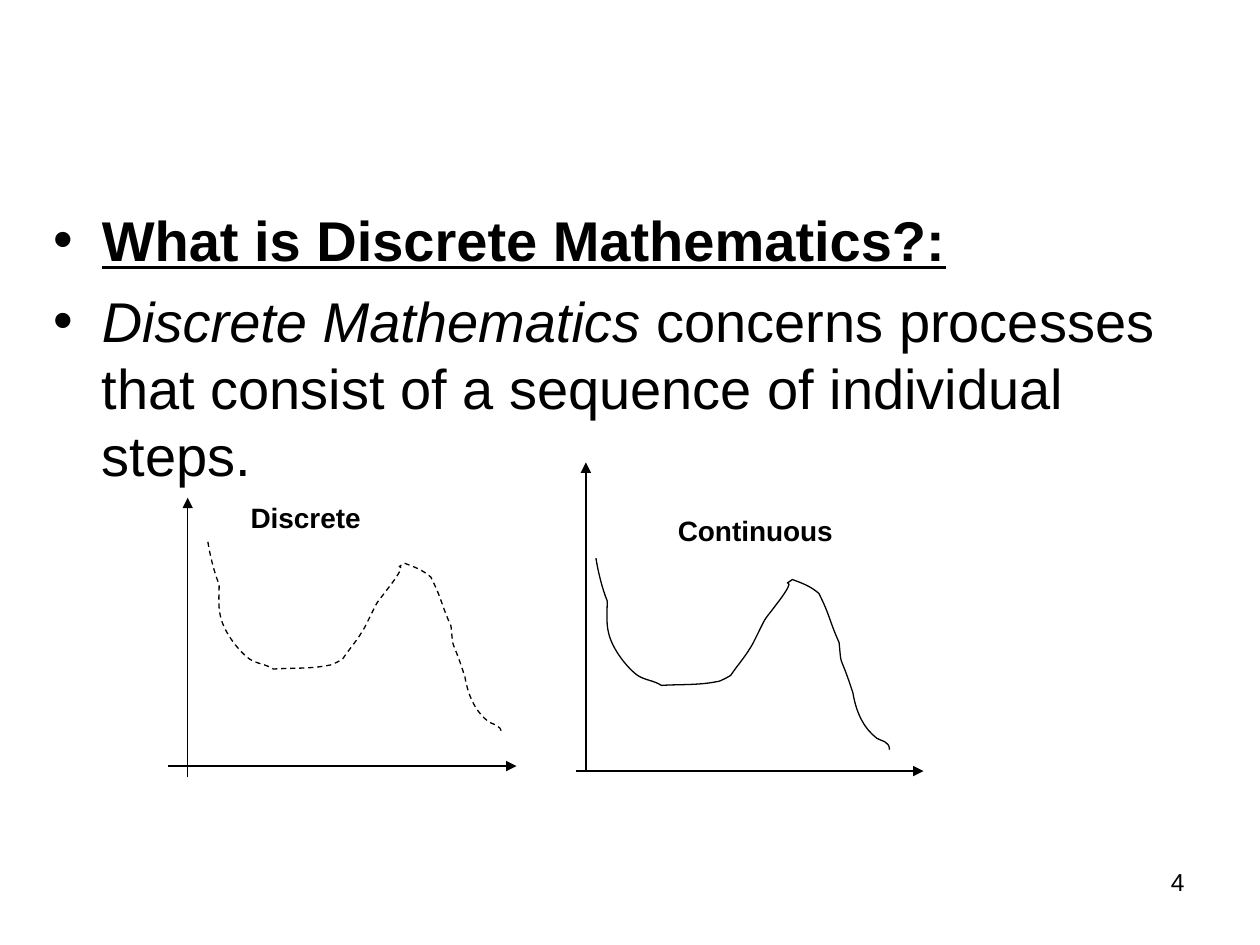
from pptx import Presentation
from pptx.dml.color import RGBColor
from pptx.enum.dml import MSO_LINE
from pptx.enum.shapes import MSO_CONNECTOR
from pptx.enum.text import PP_ALIGN
from pptx.oxml.ns import qn
from pptx.util import Inches, Pt
from lxml.etree import SubElement

BLACK = RGBColor(0, 0, 0)
LINE_WIDTH = Pt(0.75)

# Bezier control points in hundredths of an inch from the curve's start
CURVE = [
    [(2, 12), (5, 24), (9, 34)],
    [(9, 42), (8, 51), (10, 59)],
    [(13, 73), (26, 88), (33, 93)],
    [(39, 97), (46, 97), (52, 101)],
    [(67, 100), (81, 101), (96, 98)],
    [(99, 98), (107, 93), (107, 93)],
    [(113, 84), (119, 78), (125, 67)],
    [(137, 43), (131, 53), (143, 37)],
    [(164, 10), (144, 25), (156, 17)],
    [(164, 20), (170, 22), (177, 28)],
    [(186, 46), (185, 49), (193, 67)],
    [(195, 87), (193, 75), (201, 98)],
    [(202, 101), (204, 107), (204, 107)],
    [(207, 125), (214, 136), (223, 143)],
    [(226, 145), (233, 145), (233, 152)],
]

presentation = Presentation()
presentation.slide_width, presentation.slide_height = Inches(10), Inches(7.5)
slide = presentation.slides.add_slide(presentation.slide_layouts[6])


def add_text_frame(box, margins=(0.1, 0.05)):
    """Add a wrapping text box; margins are left and top in inches."""
    frame = slide.shapes.add_textbox(*map(Inches, box)).text_frame
    frame.word_wrap = True
    frame.margin_left, frame.margin_top = map(Inches, margins)
    return frame


def add_run(paragraph, text, size, **styles):
    run = paragraph.add_run()
    run.text = text
    run.font.color.rgb = BLACK
    formats = {"name": "Arial", "size": Pt(size), **styles}
    for name, value in formats.items():
        setattr(run.font, name, value)


# Slide number
number = add_text_frame((7.17, 6.83, 2.33, 0.52)).paragraphs[0]
number.alignment = PP_ALIGN.RIGHT
add_run(number, "4", 14)

# Bulleted definition
body = add_text_frame((0.33, 1.58, 9, 4.95))
bullets = [
    [("What is Discrete Mathematics?:", {"bold": True, "underline": True})],
    [("Discrete Mathematics", {"italic": True}),
     (" concerns processes that consist of a sequence of individual steps.", {})],
]
for index, runs in enumerate(bullets):
    paragraph = body.add_paragraph() if index else body.paragraphs[0]
    paragraph.space_before = Pt(8 if index else 0)
    properties = paragraph._p.get_or_add_pPr()
    properties.set("marL", str(Inches(0.38)))
    properties.set("indent", str(Inches(-0.38)))
    SubElement(properties, qn("a:buFont"), typeface="Arial")
    SubElement(properties, qn("a:buChar"), char="•")
    for text, styles in runs:
        add_run(paragraph, text, 32, **styles)

# Graphs: curve, axes (from, to) and label
graphs = [
    {"label": "Continuous", "box": (4.18, 3.92, 2.96, 0.5), "margins": (1.2, 0.16),
     "axes": [(4.57, 6.12, 7.33, 6.12), (4.65, 6.12, 4.65, 3.67)],
     "start": (4.73, 4.43), "dash": None},
    {"label": "Discrete", "box": (1.89, 3.92, 1.42, 0.37), "margins": (0.1, 0.05),
     "axes": [(1.33, 6.08, 4.1, 6.08), (1.49, 6.17, 1.49, 3.95)],
     "start": (1.65, 4.3), "dash": MSO_LINE.DASH},
]
for graph in graphs:
    builder = slide.shapes.build_freeform(0, 0, scale=Inches(0.01))
    builder.add_line_segments([segment[-1] for segment in CURVE], close=False)
    curve = builder.convert_to_shape(*map(Inches, graph["start"]))
    # Turn each straight segment into a Bezier segment
    segments = list(curve._element.iter(qn("a:lnTo")))
    for straight, controls in zip(segments, CURVE):
        bezier = SubElement(straight.getparent(), qn("a:cubicBezTo"))
        for x, y in controls:
            SubElement(bezier, qn("a:pt"), x=str(x), y=str(y))
        straight.getparent().remove(straight)
    curve.shadow.inherit = False
    curve.fill.background()
    curve.line.color.rgb = BLACK
    curve.line.width = LINE_WIDTH
    if graph["dash"]:
        curve.line.dash_style = graph["dash"]

    for ends in graph["axes"]:
        axis = slide.shapes.add_connector(MSO_CONNECTOR.STRAIGHT, *map(Inches, ends))
        axis.line.color.rgb = BLACK
        axis.line.width = LINE_WIDTH
        SubElement(axis.line._get_or_add_ln(), qn("a:tailEnd"), type="triangle")
        SubElement(axis._element.spPr, qn("a:effectLst"))

    label = add_text_frame(graph["box"], graph["margins"]).paragraphs[0]
    add_run(label, graph["label"], 16, bold=True)

presentation.save("out.pptx")
